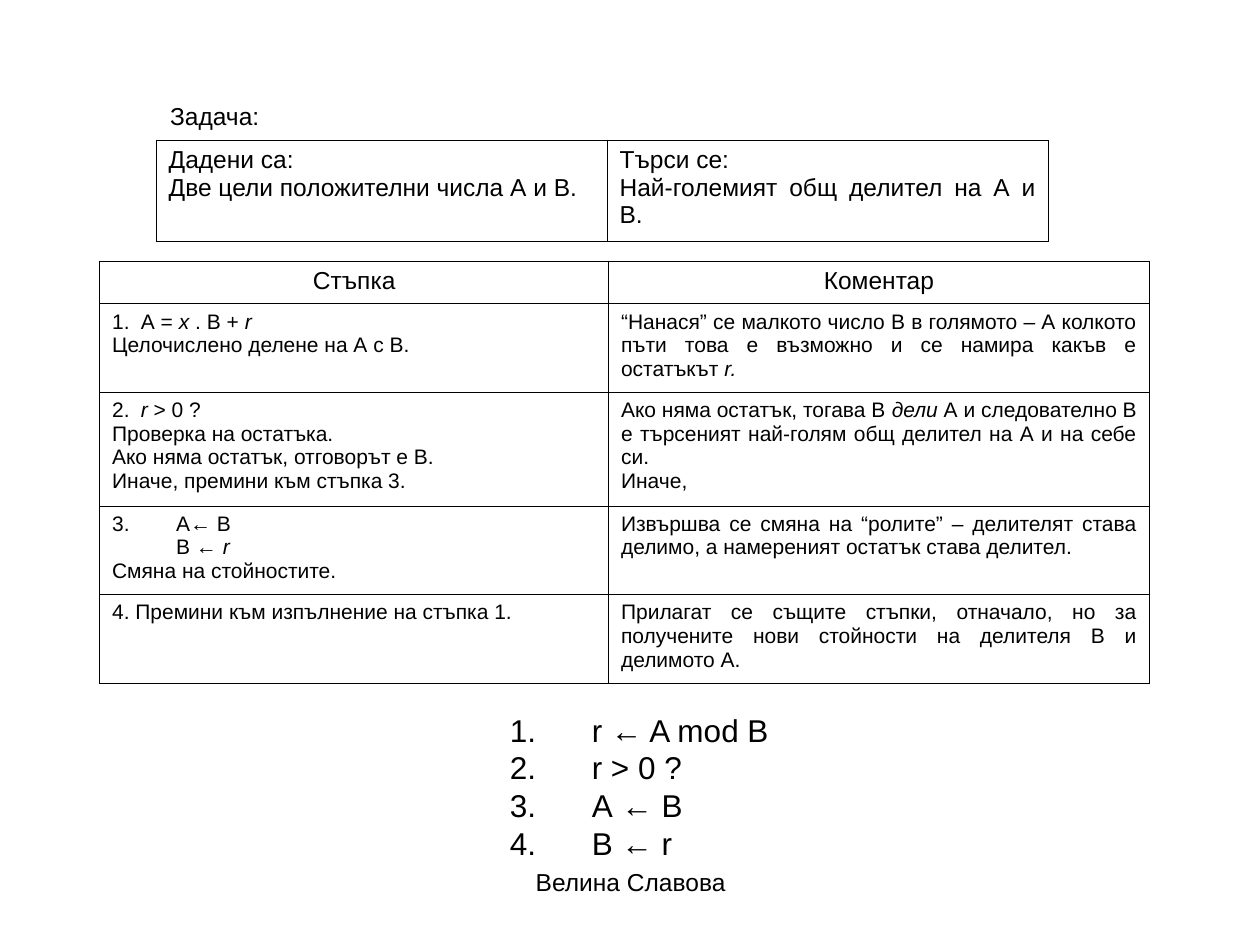
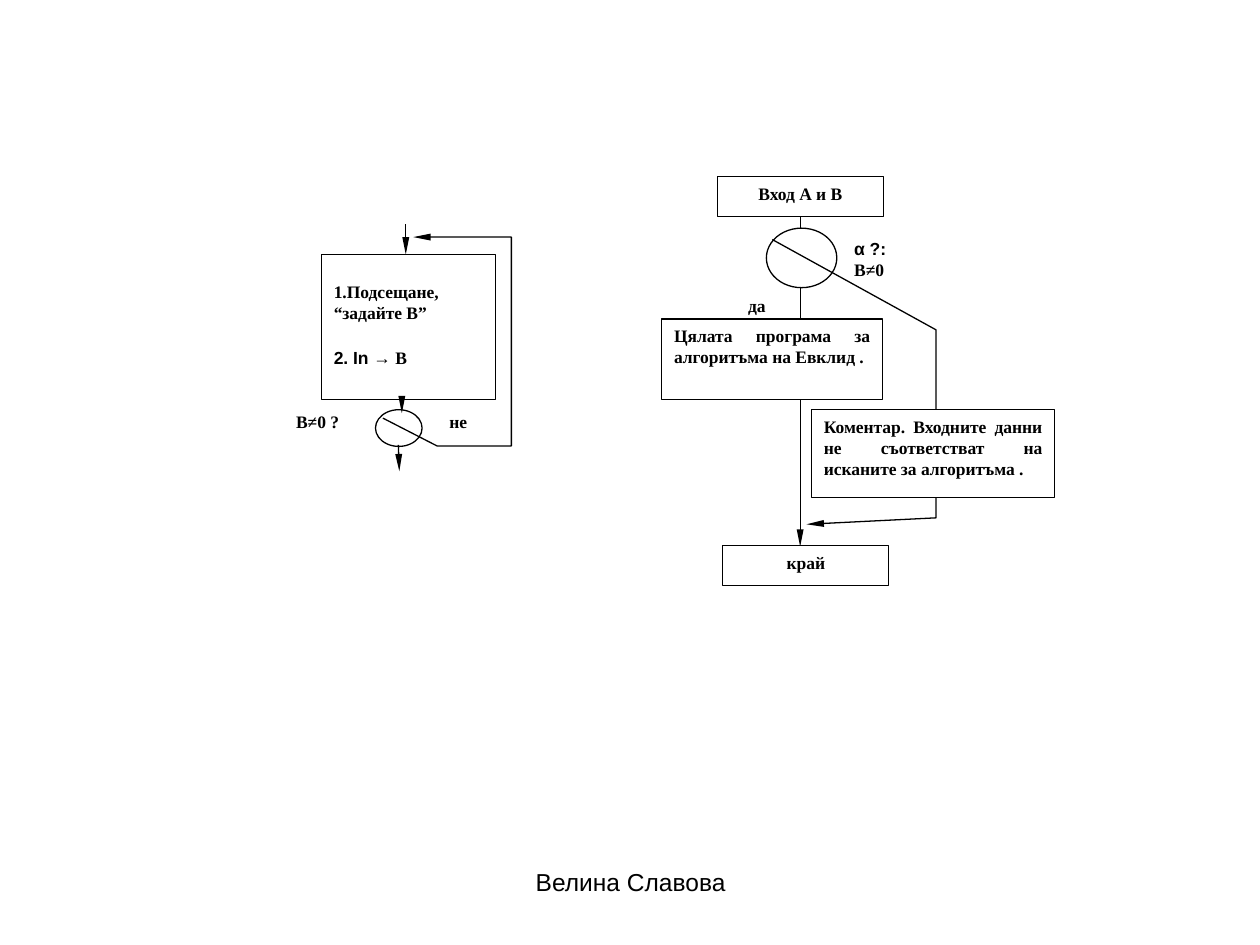
from dataclasses import dataclass
from typing import Optional, Union

from lxml.etree import SubElement
from pptx import Presentation
from pptx.dml.color import RGBColor
from pptx.enum.shapes import MSO_CONNECTOR as Connector, MSO_SHAPE as Preset
from pptx.enum.text import MSO_ANCHOR as Anchor, PP_ALIGN as Align
from pptx.oxml.ns import qn
from pptx.util import Cm, Pt

BLACK, WHITE = "000000", "FFFFFF"
SANS, SERIF = "Arial", "Times New Roman"
BORDER_WIDTH, LINE_WIDTH = 0.45, 0.75
MARGIN_X, MARGIN_Y = 0.25, 0.13
STEP_HANG, SWAP_HANG, LIST_HANG = 0.58, 1.29, 1.65


@dataclass(frozen=True)
class Style:
    size: float
    font: str = SANS
    bold: bool = False
    align: Align = Align.LEFT
    marked_font: Optional[str] = None


@dataclass(frozen=True)
class Line:
    text: str
    left: float = 0
    hang: float = 0
    numbered: bool = False
    before: float = 0


@dataclass(frozen=True)
class Node:
    left: float
    top: float
    width: float
    height: float
    lines: tuple = ()
    style: Optional[Style] = None
    preset: Optional[Preset] = None
    top_margin: float = MARGIN_Y
    anchor: Anchor = Anchor.TOP
    wrap: bool = True


@dataclass(frozen=True)
class Route:
    points: tuple


@dataclass(frozen=True)
class Grid:
    left: float
    top: float
    widths: tuple
    heights: tuple
    rows: tuple
    body: Style
    header: Optional[Style] = None


HEADING = Style(14, align=Align.CENTER)
TASK = Style(14, align=Align.JUSTIFY)
STEP = Style(12, align=Align.JUSTIFY)
CODE = Style(18)
LABEL = Style(10, SERIF, True, marked_font=SANS)
CAPTION = Style(10, SERIF, True, Align.CENTER)
NOTE = Style(10, SERIF, True, Align.JUSTIFY)

FOOTER = Node(8.69, 17.35, 8.05, 1.32, ("Велина Славова",), HEADING)

TASK_LABEL = Node(3.18, 1.91, 2.31, 0.86, ("Задача:",), TASK, anchor=Anchor.MIDDLE, wrap=False)

TASK_GRID = Grid(
    3.15, 2.82, (9.09, 8.89), (2.03,),
    ((("Дадени са:", "Две цели положителни числа А и В."),
      ("Търси се:", "Най-големият общ делител на А и В.")),),
    TASK,
)

STEP_GRID = Grid(
    2.01, 5.26, (10.26, 10.9), (0.86, 1.78, 2.29, 1.78, 1.78),
    (
        (("Стъпка",), ("Коментар",)),
        ((Line("1.\tА = *х* . В + *r*", STEP_HANG, STEP_HANG),
          "Целочислено делене на А с В."),
         ("“Нанася” се малкото число В в голямото – А колкото пъти това е "
          "възможно и се намира какъв е остатъкът *r.*",)),
        ((Line("2.\t*r* > 0 ?", STEP_HANG, STEP_HANG),
          "Проверка на остатъка.",
          "Ако няма остатък, отговорът е В.",
          "Иначе, премини към стъпка 3."),
         ("Ако няма остатък, тогава В *дели* А и следователно В е търсеният "
          "най-голям общ делител на А и на себе си.",
          "Иначе,")),
        ((Line("3.\tА← B", SWAP_HANG, SWAP_HANG),
          Line("B ← *r*", SWAP_HANG),
          "Смяна на стойностите."),
         ("Извършва се смяна на “ролите” – делителят става делимо, "
          "а намереният остатък става делител.",)),
        (("4. Премини към изпълнение на стъпка 1.",),
         ("Прилагат се същите стъпки, отначало, но за получените нови "
          "стойности на делителя В и делимото А.",)),
    ),
    STEP, HEADING,
)

PROGRAM = Node(
    10.03, 14.2, 6.25, 3.3,
    tuple(Line(text, LIST_HANG, LIST_HANG, numbered=True)
          for text in ("r ← A mod B", "r > 0 ?", "А ← B", "В ← r")),
    CODE, anchor=Anchor.MIDDLE,
)

INPUT_LOOP = (
    Node(7.57, 8.26, 0.94, 0.74, preset=Preset.OVAL),
    Route(((8.03, 8.97), (8.05, 9.5))),
    Node(6.48, 5.13, 3.51, 2.92,
         ("1.Подсещане, “задайте В”", Line("*2. In →* В", before=14)),
         LABEL, Preset.RECTANGLE, top_margin=0.53),
    Route(((8.18, 4.52), (8.18, 5.13))),
    Route(((8.1, 8.03), (8.1, 8.33))),
    Route(((7.72, 8.43), (8.81, 8.99), (10.31, 8.99), (10.31, 4.78), (8.33, 4.78))),
    Node(5.72, 8.15, 1.88, 0.99, ("В≠0 ?",), LABEL),
    Node(8.81, 8.15, 1.3, 0.99, ("не",), LABEL),
)

MAIN_FLOW = (
    Route(((16.13, 4.32), (16.13, 11.02))),
    Node(15.45, 4.6, 1.42, 1.2, preset=Preset.OVAL),
    Route(((15.57, 4.83), (18.87, 6.65), (18.87, 10.44), (16.26, 10.57))),
    Node(13.34, 6.43, 4.45, 1.63, ("Цялата програма за алгоритъма на Евклид .",),
         NOTE, Preset.RECTANGLE),
    Node(14.46, 3.56, 3.35, 0.8, ("Вход А и В",), CAPTION, Preset.RECTANGLE),
    Node(16.97, 4.67, 3.35, 1.19, ("*α ?:*", "В≠0"), LABEL),
    Node(14.57, 11, 3.35, 0.8, ("край",), CAPTION, Preset.RECTANGLE),
    Node(16.36, 8.26, 4.9, 1.77,
         ("Коментар. Входните данни не съответстват на исканите за алгоритъма .",),
         NOTE, Preset.RECTANGLE),
    Node(14.83, 5.82, 1.09, 0.69, ("да",), LABEL),
)


def colour(value: str) -> RGBColor:
    return RGBColor.from_string(value)


def write_line(para, line: Line, style: Style) -> None:
    para.alignment = style.align
    properties = para._p.get_or_add_pPr()
    if line.left:
        properties.set("marL", str(Cm(line.left)))
        properties.set("indent", str(Cm(-line.hang)))
    if line.before:
        para.space_before = Pt(line.before)
    if line.numbered:
        SubElement(properties, qn("a:buFont"), typeface=SANS)
        SubElement(properties, qn("a:buAutoNum"), type="arabicPeriod")
    para.font.size = Pt(style.size)
    para.font.name = style.font
    para.font.bold = style.bold
    para.font.color.rgb = colour(BLACK)
    for index, part in enumerate(line.text.split("*")):
        if not part:
            continue
        span = para.add_run()
        span.text = part
        if index % 2 and style.marked_font:
            span.font.name = style.marked_font
        elif index % 2:
            span.font.italic = True


def write_lines(frame, lines: tuple, style: Style) -> None:
    for index, item in enumerate(lines):
        para = frame.add_paragraph() if index else frame.paragraphs[0]
        write_line(para, Line(item) if isinstance(item, str) else item, style)


def draw_node(page, node: Node) -> None:
    place = [Cm(value) for value in (node.left, node.top, node.width, node.height)]
    if node.preset is None:
        box = page.shapes.add_textbox(*place)
    else:
        box = page.shapes.add_shape(node.preset, *place)
        box.shadow.inherit = False
        box.fill.solid()
        box.fill.fore_color.rgb = colour(WHITE)
        box.line.color.rgb = colour(BLACK)
        box.line.width = Pt(LINE_WIDTH)
    if node.lines:
        frame = box.text_frame
        frame.word_wrap = node.wrap
        frame.vertical_anchor = node.anchor
        frame.margin_left = frame.margin_right = Cm(MARGIN_X)
        frame.margin_top, frame.margin_bottom = Cm(node.top_margin), Cm(MARGIN_Y)
        write_lines(frame, node.lines, node.style)


def draw_route(page, route: Route) -> None:
    points = [(Cm(x), Cm(y)) for x, y in route.points]
    if len(points) == 2:
        arrow = page.shapes.add_connector(Connector.STRAIGHT, *points[0], *points[1])
        SubElement(arrow._element.spPr, qn("a:effectLst"))
    else:
        builder = page.shapes.build_freeform(*points[0])
        builder.add_line_segments(points[1:], close=False)
        arrow = builder.convert_to_shape()
        arrow.shadow.inherit = False
        arrow.fill.background()
    arrow.line.color.rgb = colour(BLACK)
    arrow.line.width = Pt(LINE_WIDTH)
    SubElement(arrow.line._get_or_add_ln(), qn("a:tailEnd"), type="triangle", w="sm", len="lg")


def draw_borders(cell) -> None:
    properties = cell._tc.get_or_add_tcPr()
    for side in ("lnL", "lnR", "lnT", "lnB"):
        border = SubElement(properties, qn(f"a:{side}"), w=str(Pt(BORDER_WIDTH)))
        SubElement(SubElement(border, qn("a:solidFill")), qn("a:srgbClr"), val=BLACK)


def draw_grid(page, grid: Grid) -> None:
    table = page.shapes.add_table(
        len(grid.heights), len(grid.widths), Cm(grid.left), Cm(grid.top),
        Cm(sum(grid.widths)), Cm(sum(grid.heights)),
    ).table
    table.first_row = table.horz_banding = False
    for column, width in zip(table.columns, grid.widths):
        column.width = Cm(width)
    for index, (row, height, texts) in enumerate(zip(table.rows, grid.heights, grid.rows)):
        row.height = Cm(height)
        style = grid.header if grid.header and index == 0 else grid.body
        for cell, lines in zip(row.cells, texts):
            draw_borders(cell)
            cell.fill.background()
            cell.margin_left = cell.margin_right = Cm(MARGIN_X)
            cell.margin_top = cell.margin_bottom = Cm(MARGIN_Y)
            write_lines(cell.text_frame, lines, style)


def draw(page, item: Union[Node, Route, Grid]) -> None:
    {Node: draw_node, Route: draw_route, Grid: draw_grid}[type(item)](page, item)


def main() -> None:
    deck = Presentation()
    deck.slide_width, deck.slide_height = Cm(25.4), Cm(19.05)
    blank = deck.slide_layouts.get_by_name("Blank")
    for items in ((TASK_LABEL, TASK_GRID, STEP_GRID, PROGRAM), INPUT_LOOP + MAIN_FLOW):
        page = deck.slides.add_slide(blank)
        for item in items + (FOOTER,):
            draw(page, item)
    deck.save("out.pptx")


if __name__ == "__main__":
    main()
